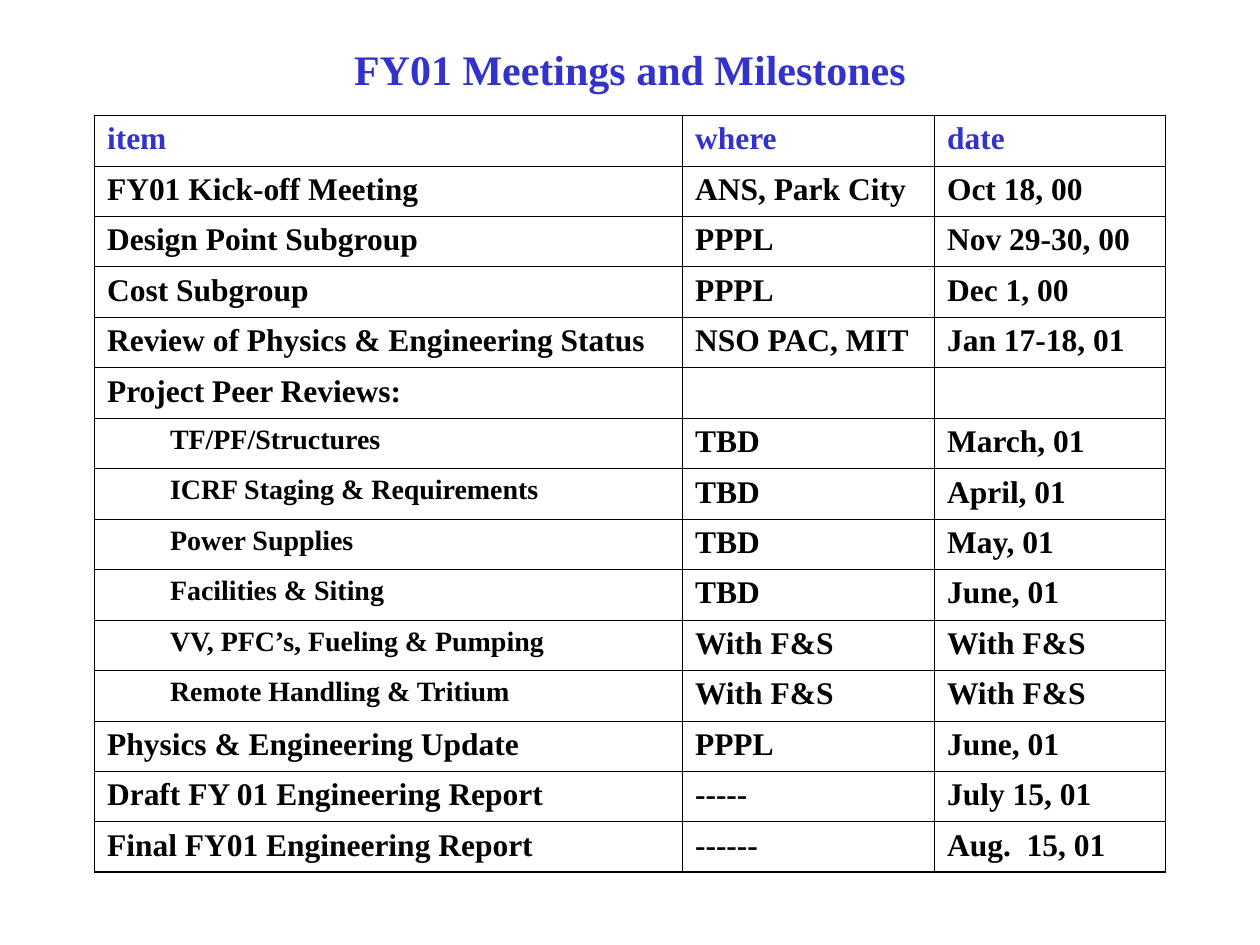
from lxml import etree
from pptx import Presentation
from pptx.dml.color import RGBColor
from pptx.enum.text import MSO_ANCHOR, PP_ALIGN
from pptx.oxml.ns import qn
from pptx.util import Pt

MIDDLE = MSO_ANCHOR.MIDDLE
CENTER = PP_ALIGN.CENTER
BLUE = RGBColor(0x33, 0x33, 0xCC)
BLACK = RGBColor(0, 0, 0)
FONT = "Times New Roman"
THIN = 0.45
THICK = 1.08
COLUMN_WIDTHS = (336, 144, 132)
INDENT = 36

HEADER = ("item", "where", "date")
REVIEWS = (
    ("TF/PF/Structures", "TBD", "March, 01"),
    ("ICRF Staging & Requirements", "TBD", "April, 01"),
    ("Power Supplies", "TBD", "May, 01"),
    ("Facilities & Siting", "TBD", "June, 01"),
    ("VV, PFC’s, Fueling & Pumping", "With F&S", "With F&S"),
    ("Remote Handling & Tritium", "With F&S", "With F&S"),
)
ROWS = (
    HEADER,
    ("FY01 Kick-off Meeting", "ANS, Park City", "Oct 18, 00"),
    ("Design Point Subgroup", "PPPL", "Nov 29-30, 00"),
    ("Cost Subgroup", "PPPL", "Dec 1, 00"),
    ("Review of Physics & Engineering Status", "NSO PAC, MIT", "Jan 17-18, 01"),
    ("Project Peer Reviews:", "", ""),
    *REVIEWS,
    ("Physics & Engineering Update", "PPPL", "June, 01"),
    ("Draft FY 01 Engineering Report", "-----", "July 15, 01"),
    ("Final FY01 Engineering Report", "------", "Aug.  15, 01"),
)


def write(paragraph, text, size, color):
    paragraph.text = text
    for run in paragraph.runs:
        run.font.name = FONT
        run.font.size = Pt(size)
        run.font.bold = True
        run.font.color.rgb = color
    if not text:
        etree.SubElement(paragraph._p, qn("a:endParaRPr"), sz=str(Pt(16).centipoints))


def set_borders(cell, widths):
    properties = cell._tc.get_or_add_tcPr()
    for side, width in widths.items():
        line = etree.SubElement(properties, qn(f"a:ln{side}"), w=str(Pt(width)))
        fill = etree.SubElement(line, qn("a:solidFill"))
        etree.SubElement(fill, qn("a:srgbClr"), val=str(BLACK))


def add_title(slide, left, top, width, height):
    shape = slide.shapes.add_textbox(Pt(left), Pt(top), Pt(width), Pt(height))
    text_frame = shape.text_frame
    text_frame.word_wrap = True
    text_frame.vertical_anchor = MIDDLE
    paragraph = text_frame.paragraphs[0]
    paragraph.alignment = CENTER
    write(paragraph, "FY01 Meetings and Milestones", 24, BLUE)


def add_schedule(slide, left, top, width, height):
    last_row, last_column = len(ROWS) - 1, len(HEADER) - 1
    shape = slide.shapes.add_table(
        len(ROWS), len(HEADER), Pt(left), Pt(top), Pt(width), Pt(height)
    )
    table = shape.table
    table.first_row = False
    table.horz_banding = False
    for column, share in zip(table.columns, COLUMN_WIDTHS):
        column.width = Pt(width * share / sum(COLUMN_WIDTHS))
    for row_index, values in enumerate(ROWS):
        table.rows[row_index].height = Pt(height / len(ROWS))
        for column_index, text in enumerate(values):
            cell = table.cell(row_index, column_index)
            set_borders(cell, {
                "L": THICK if column_index == 0 else THIN,
                "R": THICK if column_index == last_column else THIN,
                "T": THICK if row_index == 0 else THIN,
                "B": THICK if row_index == last_row else THIN,
            })
            cell.fill.background()
            paragraph = cell.text_frame.paragraphs[0]
            is_review = column_index == 0 and values in REVIEWS
            if is_review:
                paragraph.level = 1
                properties = paragraph._p.get_or_add_pPr()
                properties.set("marL", str(Pt(INDENT)))
                properties.set("indent", "0")
            write(paragraph, text, 16 if is_review else 18,
                  BLUE if row_index == 0 else BLACK)


def main():
    presentation = Presentation()
    presentation.slide_width = Pt(720)
    presentation.slide_height = Pt(540)
    slide = presentation.slides.add_slide(presentation.slide_layouts[6])
    add_title(slide, 54, 18, 612, 42)
    add_schedule(slide, 54, 66, 612, 431.25)
    presentation.save("out.pptx")


if __name__ == "__main__":
    main()
